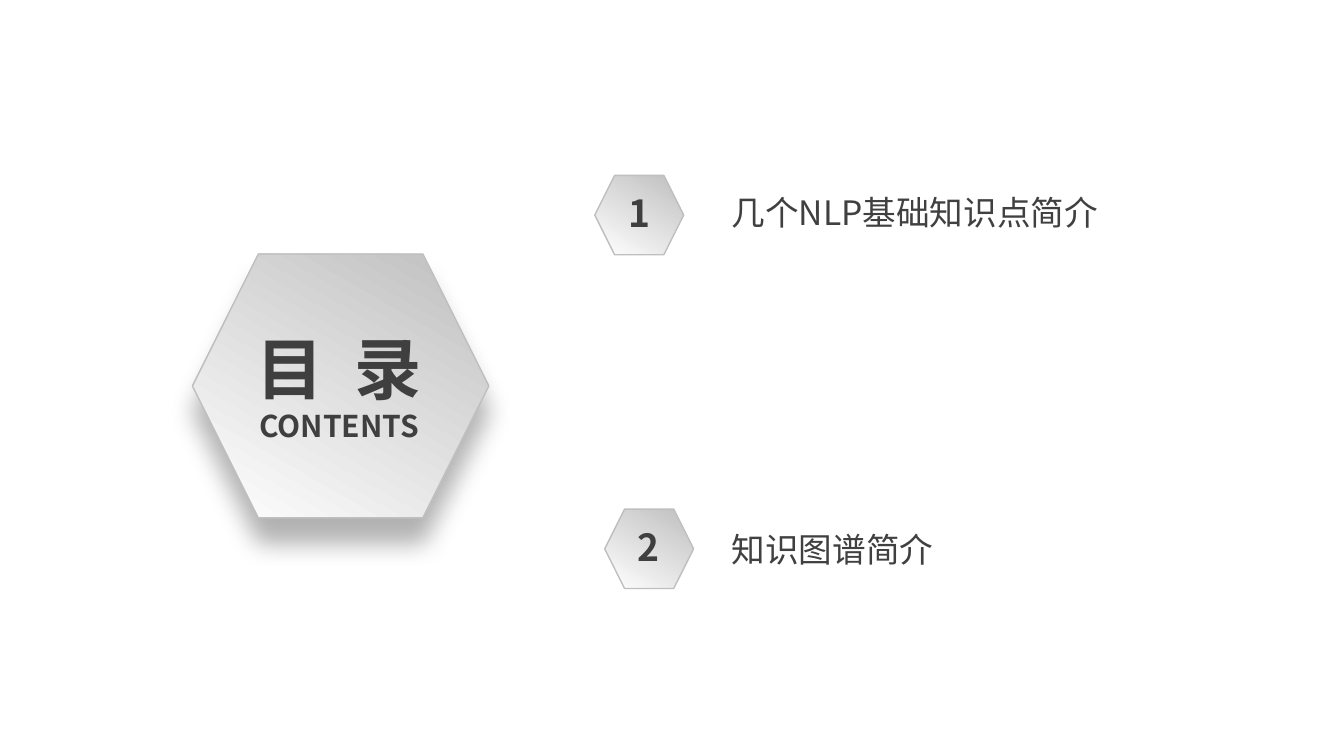
import copy

import pptx
import pptx.dml.color
import pptx.enum.shapes
import pptx.enum.text
import pptx.oxml
import pptx.oxml.ns
import pptx.util

Cm, Pt = pptx.util.Cm, pptx.util.Pt
FONT = "Noto Sans CJK SC"
COLORS = {"silver": "BFBFBF", "white": "FFFFFF", "title": "3F3F3F", "item": "404040"}
MIDDLE = pptx.enum.text.MSO_ANCHOR.MIDDLE
CENTER = pptx.enum.text.PP_ALIGN.CENTER

deck = pptx.Presentation()
deck.slide_width, deck.slide_height = Cm(33.87), Cm(19.05)
slide = deck.slides.add_slide(deck.slide_layouts[6])


def add_hexagon(parent, left, top, width, height):
    hexagon = parent.shapes.add_shape(
        pptx.enum.shapes.MSO_SHAPE.HEXAGON, Cm(left), Cm(top), Cm(width), Cm(height))
    hexagon.shadow.inherit = False
    hexagon.fill.gradient()
    hexagon.fill.gradient_angle = 240
    for stop, position, name in zip(hexagon.fill.gradient_stops, (0, 1), ("silver", "white")):
        stop.position = position
        stop.color.rgb = pptx.dml.color.RGBColor.from_string(COLORS[name])
    # The outline carries the same gradient as the face
    hexagon.line.width = Pt(1)
    properties = hexagon.element.spPr
    outline = properties.find(pptx.oxml.ns.qn("a:ln"))
    outline.append(copy.deepcopy(properties.find(pptx.oxml.ns.qn("a:gradFill"))))
    return hexagon


def add_text(parent, box, lines, color, bold=False):
    frame = parent.shapes.add_textbox(*(Cm(length) for length in box)).text_frame
    frame.word_wrap = True
    for index, (size, words) in enumerate(lines):
        paragraph = frame.add_paragraph() if index else frame.paragraphs[0]
        for word in words:
            run = paragraph.add_run()
            run.text = word
            run.font.size, run.font.bold, run.font.name = Pt(size), bold, FONT
            run.font.color.rgb = pptx.dml.color.RGBColor.from_string(COLORS[color])
            east_asian = pptx.oxml.parse_xml(
                f'<a:ea {pptx.oxml.ns.nsdecls("a")} typeface="{FONT}"/>')
            run.font._element.find(pptx.oxml.ns.qn("a:latin")).addnext(east_asian)
        if bold:
            paragraph.alignment = CENTER
    if bold:
        frame.vertical_anchor = MIDDLE
    return frame


# Contents badge with a soft shadow below
badge = slide.shapes.add_group_shape()
badge_face = add_hexagon(badge, 4.85, 6.4, 7.47, 6.65)
effects = badge_face.element.spPr.find(pptx.oxml.ns.qn("a:effectLst"))
effects.append(pptx.oxml.parse_xml(
    f'<a:outerShdw {pptx.oxml.ns.nsdecls("a")} blurRad="{Pt(18)}" dist="{Pt(18)}"'
    ' dir="5400000" algn="t" rotWithShape="0">'
    '<a:srgbClr val="000000"><a:alpha val="30000"/></a:srgbClr></a:outerShdw>'))
heading = add_text(badge, (5.61, 8.1, 5.87, 3.23),
                   [(48, ("目", " ", "录")), (21.4, ("CONTENTS",))], "title", bold=True)
# Widen the gap between the two heading characters
heading.paragraphs[0].runs[1].font._element.set("spc", "1075")

# Numbered hexagons: left, top
for number, (left, top) in enumerate([(14.99, 4.42), (15.24, 12.83)], start=1):
    marker = slide.shapes.add_group_shape()
    add_hexagon(marker, left, top, 2.24, 2)
    add_text(marker, (left + 0.58, top + 0.25, 1.07, 1.4),
             [(26.6, (str(number),))], "title", bold=True)

# Topics: top, width, wording
for top, width, topic in [(4.6, 9.93, "几个NLP基础知识点简介"), (13.11, 13.36, "知识图谱简介")]:
    topic_frame = add_text(slide, (18.19, top, width, 1.27), [(24, (topic,))], "item")
    topic_frame.margin_top = Cm(0.23)
    topic_frame.paragraphs[0].line_spacing = Pt(28.8)

deck.save("out.pptx")
